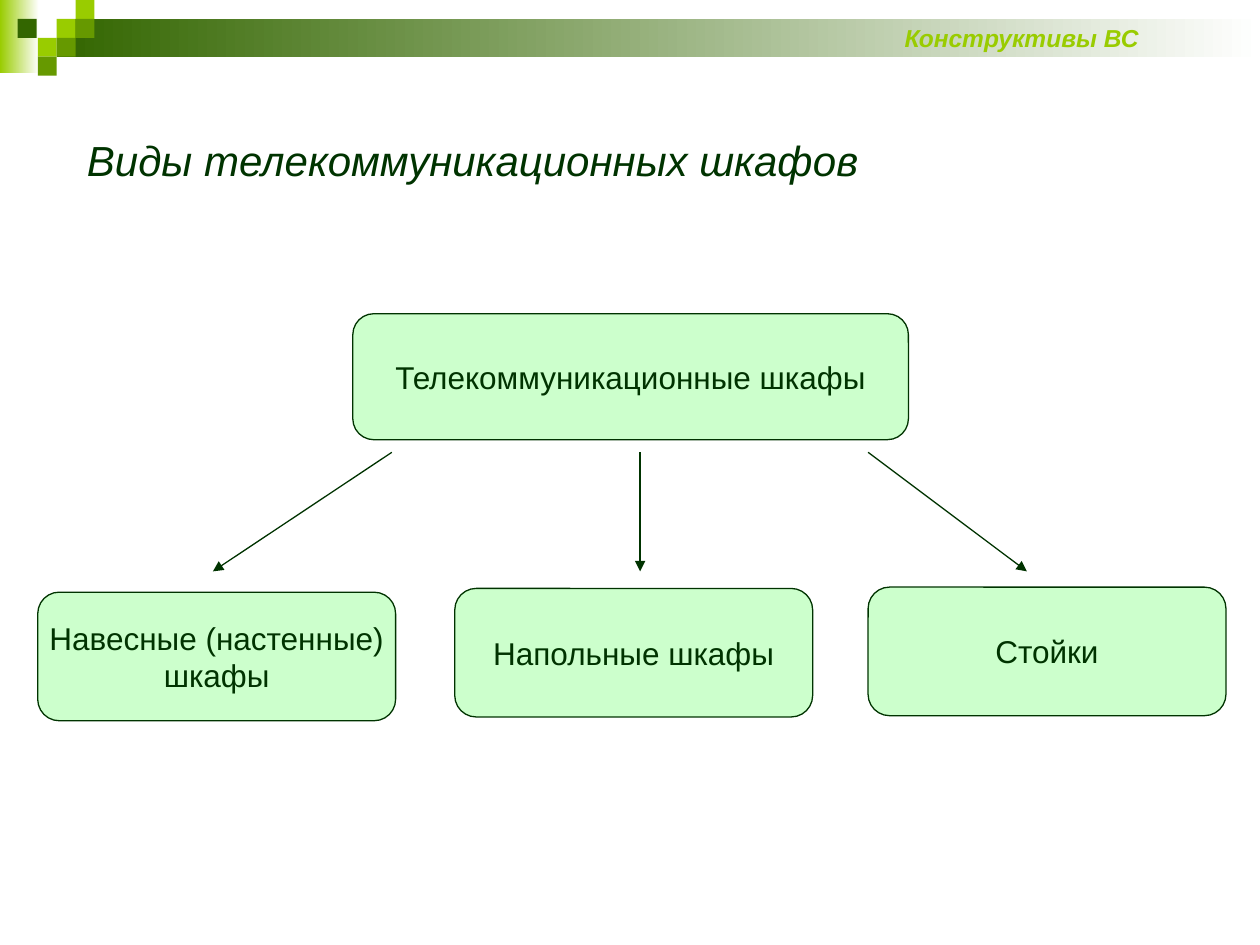
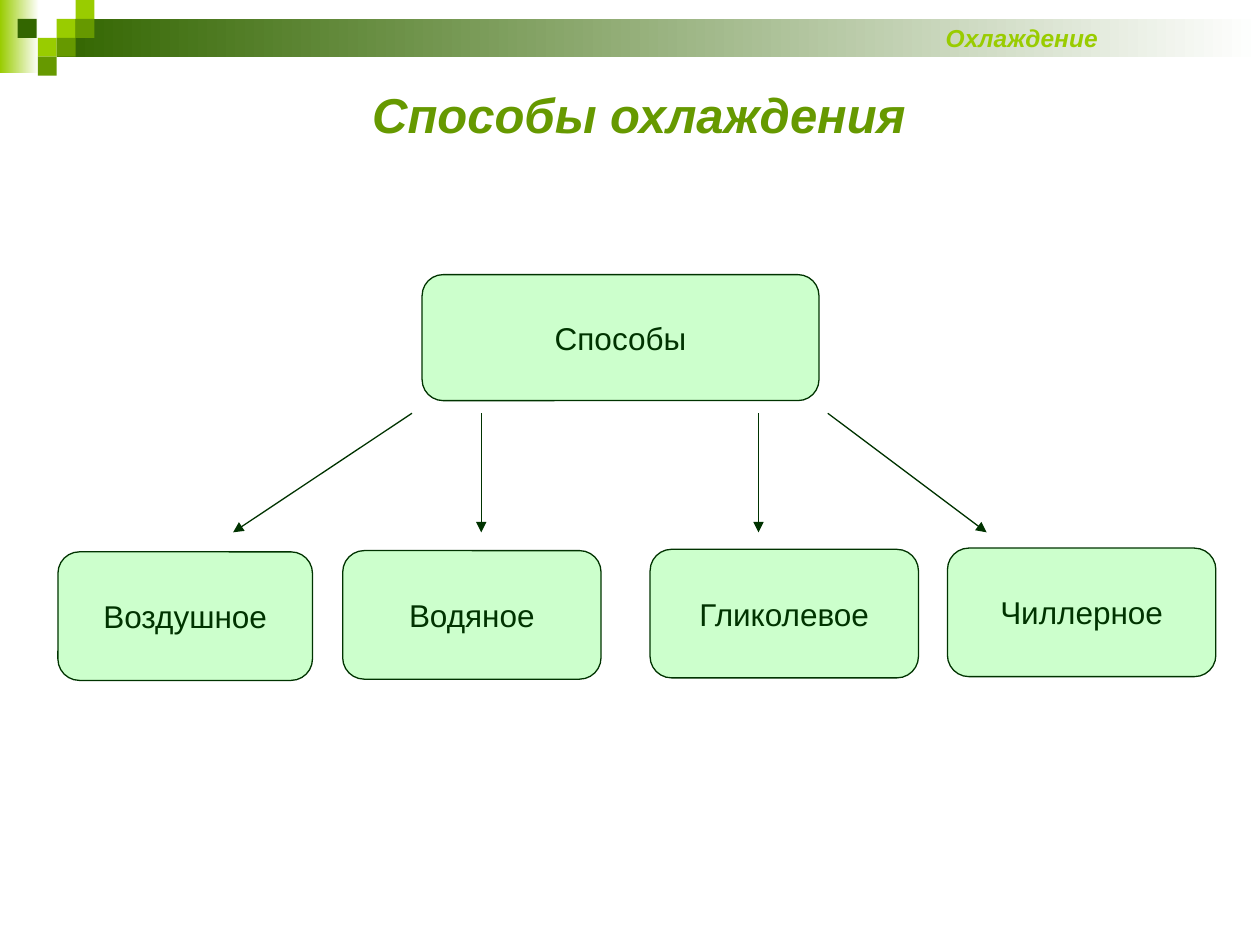
from lxml import etree
from pptx import Presentation
from pptx.dml.color import RGBColor
from pptx.enum.shapes import MSO_CONNECTOR, MSO_SHAPE
from pptx.enum.text import MSO_ANCHOR, MSO_AUTO_SIZE, PP_ALIGN
from pptx.oxml.ns import qn
from pptx.util import Inches, Pt

RECT, ROUNDED = MSO_SHAPE.RECTANGLE, MSO_SHAPE.ROUNDED_RECTANGLE
STRAIGHT = MSO_CONNECTOR.STRAIGHT
LEFT, CENTER = PP_ALIGN.LEFT, PP_ALIGN.CENTER
MIDDLE, FIXED = MSO_ANCHOR.MIDDLE, MSO_AUTO_SIZE.NONE

# Grid of 100 columns by 75 rows
COLUMNS, ROWS = 100, 75
WIDTH, HEIGHT = Inches(10), Inches(7.5)
TITLE_ONLY = 5

FONT = "Arial"
INK, DARK, GREEN, LIME = "003300", "336600", "669900", "99CC00"
PALE, WHITE = "CCFFCC", "FFFFFF"
LINE_WIDTH = Pt(0.75)

# Header mosaic: column, row, colour of each square
SQUARE = 1.5
MOSAIC = [
    (4.5, 1.5, LIME), (6, 0, LIME), (6, 1.5, GREEN), (3, 3, LIME),
    (1.4, 1.5, DARK), (4.5, 3, GREEN), (3, 4.5, GREEN),
]

# Tree spacing in rows
ROOT_HEIGHT, BRANCH_HEIGHT = 10, 10.2
ARROW_GAP, ARROW_DROP = 1, 9.45
OUTER_LEANS = (-14.2, 12.6)


def colour(code):
    return RGBColor.from_string(code)


class Deck:
    """Holds the style and the current page; lengths are grid columns and rows."""

    def __init__(self):
        self.file = Presentation()
        self.file.slide_width, self.file.slide_height = WIDTH, HEIGHT
        self.layout = self.file.slide_layouts[TITLE_ONLY]
        self.page = None

    def x(self, columns):
        return round(WIDTH * columns / COLUMNS)

    def y(self, rows):
        return round(HEIGHT * rows / ROWS)

    def area(self, left, top, width, height):
        return self.x(left), self.y(top), self.x(width), self.y(height)

    def add_page(self):
        self.page = self.file.slides.add_slide(self.layout)

    def shape(self, kind, area, fill, line=None):
        shape = self.page.shapes.add_shape(kind, *self.area(*area))
        shape.shadow.inherit = False
        if isinstance(fill, tuple):
            shape.fill.gradient()
            shape.fill.gradient_angle = 0
            for stop, code in zip(shape.fill.gradient_stops, fill):
                stop.color.rgb = colour(code)
        else:
            shape.fill.solid()
            shape.fill.fore_color.rgb = colour(fill)
        if line:
            shape.line.color.rgb = colour(line)
            shape.line.width = LINE_WIDTH
        else:
            shape.line.fill.background()
        return shape

    def put_text(self, shape, lines, size, code, align=CENTER,
                 bold=False, italic=False, wrap=True):
        frame = shape.text_frame
        frame.auto_size, frame.word_wrap = FIXED, wrap
        frame.vertical_anchor = MIDDLE
        for number, line in enumerate(lines):
            para = frame.add_paragraph() if number else frame.paragraphs[0]
            para.alignment = align
            span = para.add_run()
            span.text = line
            span.font.name, span.font.size = FONT, Pt(size)
            span.font.bold, span.font.italic = bold, italic
            span.font.color.rgb = colour(code)

    def title(self, text, area, size, code, **style):
        box = self.page.shapes.title
        box.left, box.top, box.width, box.height = self.area(*area)
        self.put_text(box, [text], size, code, italic=True, **style)

    def section(self, text):
        box = self.page.shapes.add_textbox(*self.area(62.6, 1.3, 37, 3.4))
        self.put_text(box, [text], 14, LIME, bold=True, italic=True)

    def node(self, area, lines):
        box = self.shape(ROUNDED, area, PALE, INK)
        self.put_text(box, lines, 18, INK, wrap=False)

    def arrow(self, start, top, lean):
        arrow = self.page.shapes.add_connector(
            STRAIGHT, self.x(start), self.y(top),
            self.x(start + lean), self.y(top + ARROW_DROP))
        arrow.line.color.rgb = colour(INK)
        arrow.line.width = LINE_WIDTH
        properties = arrow.element.spPr
        etree.SubElement(properties.get_or_add_ln(), qn("a:tailEnd"),
                         type="triangle")
        etree.SubElement(properties, qn("a:effectLst"))

    def tree(self, root, left, top, width, branches, starts):
        """Root box, arrows below it, and a row of branch boxes.

        The first and last arrows lean outwards; the rest point straight down.
        """
        self.node((left, top, width, ROOT_HEIGHT), [root])
        for branch_left, branch_top, branch_width, lines in branches:
            area = (branch_left, branch_top, branch_width, BRANCH_HEIGHT)
            self.node(area, lines)
        leans = [0] * len(starts)
        leans[0], leans[-1] = OUTER_LEANS
        for start, lean in zip(starts, leans):
            self.arrow(start, top + ROOT_HEIGHT + ARROW_GAP, lean)

    def share_header(self):
        """Draw the header once and move it to the layout."""
        parts = [
            self.shape(RECT, (0, 0, 3.1, 5.8), (LIME, WHITE)),
            self.shape(RECT, (4.5, 1.5, 95.5, 3), (DARK, WHITE)),
        ]
        for left, top, code in MOSAIC:
            parts.append(self.shape(RECT, (left, top, SQUARE, SQUARE), code))
        for number, part in enumerate(parts, 100):
            part.element.nvSpPr.cNvPr.set("id", str(number))
            self.layout.shapes.element.append(part.element)


def main():
    deck = Deck()

    # Kinds of cabinets
    deck.add_page()
    deck.share_header()
    deck.section("Конструктивы ВС")
    deck.title("Виды телекоммуникационных шкафов", (5.9, 9.9, 89.1, 5.5),
               24, INK, align=LEFT)
    deck.tree("Телекоммуникационные шкафы", 28, 24.9, 44.1, [
        (3, 47, 28.4, ["Навесные (настенные)", "шкафы"]),
        (36.1, 46.7, 28.4, ["Напольные шкафы"]),
        (68.9, 46.6, 28.4, ["Стойки"]),
    ], starts=[31.1, 50.8, 68.9])

    # Ways of cooling
    deck.add_page()
    deck.section("Охлаждение")
    deck.title("Способы охлаждения", (5.7, 5.8, 90, 6.5),
               28, GREEN, bold=True)
    deck.tree("Способы", 33.5, 21.8, 31.5, [
        (4.6, 43.8, 20.2, ["Воздушное"]),
        (27.2, 43.7, 20.5, ["Водяное"]),
        (51.6, 43.6, 21.3, ["Гликолевое"]),
        (75.2, 43.5, 21.3, ["Чиллерное"]),
    ], starts=[32.7, 38.2, 60.2, 65.7])

    deck.file.save("out.pptx")


if __name__ == "__main__":
    main()
